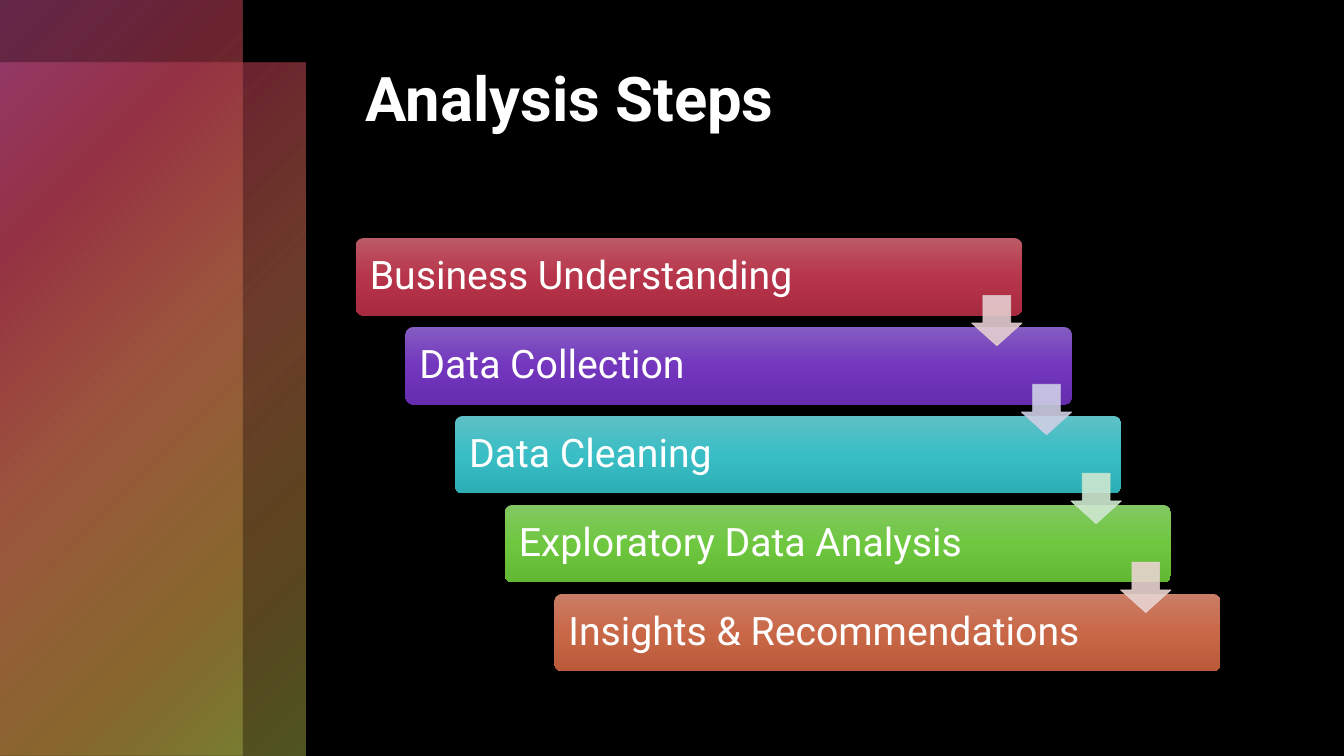
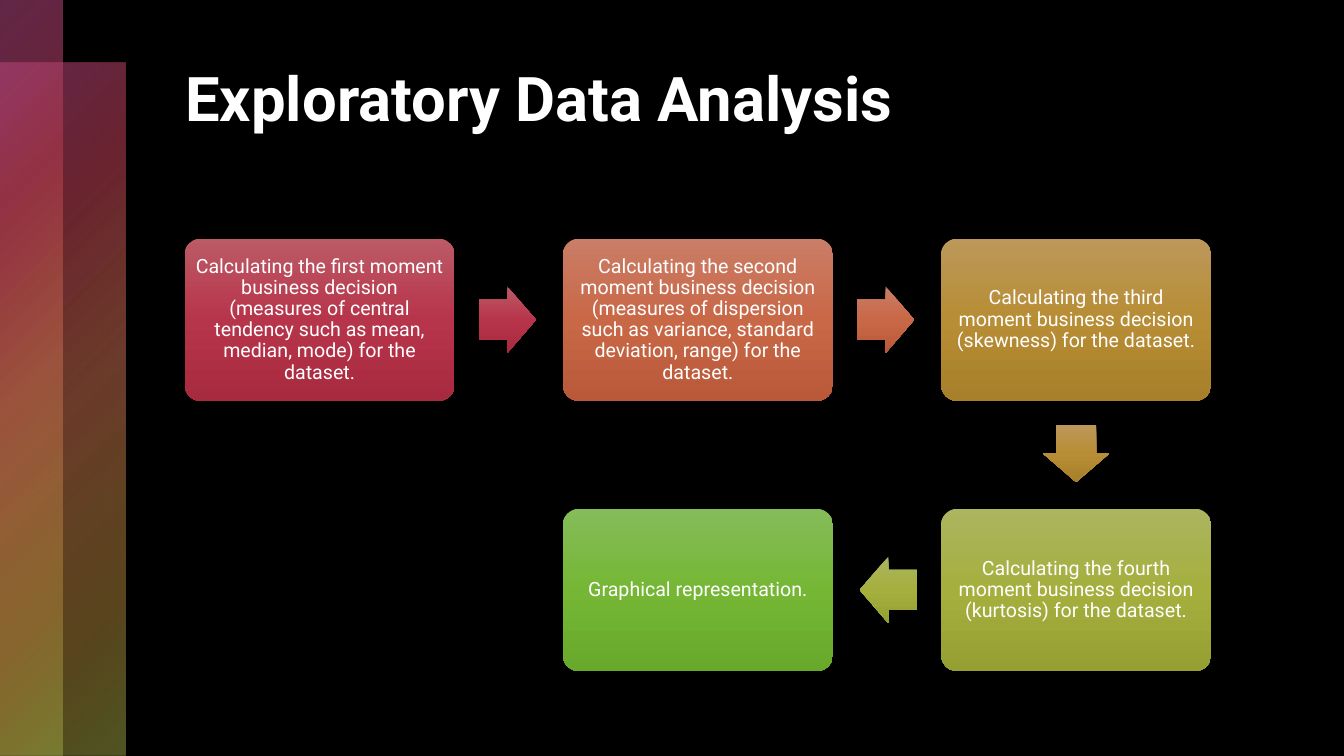
from pptx import Presentation
from pptx.dml.color import RGBColor
from pptx.enum.shapes import MSO_SHAPE
from pptx.enum.text import MSO_ANCHOR, PP_ALIGN
from pptx.oxml import parse_xml
from pptx.oxml.ns import nsdecls, qn
from pptx.util import Pt

BLACK = RGBColor(0, 0, 0)
WHITE = RGBColor(255, 255, 255)


def shades(*codes):
    return [RGBColor.from_string(code) for code in codes]


RED = shades("BC5A66", "B7354A", "A82A3E")
VIOLET = shades("845CC2", "7337BE", "652CAE")
TEAL = shades("5EC1C6", "39BEC5", "2DAEB4")
GREEN = shades("82C862", "6FC740", "61B832")
ORANGE = shades("CA7D67", "C96847", "B95939")
GOLD = shades("BC985A", "B78D35", "A87F2A")
OLIVE = shades("ACB55F", "A4AF3E", "96A032")
LEAF = shades("85BC5A", "75B735", "68A82A")
PALE = shades("E4CED0", "CFCFE6", "CFE8D1", "E9D4D0")
BAND = list(zip((0, 25, 50, 81, 99),
                shades("C34D91", "B13B4E", "C36B4D", "B18B3B", "A0AA43"),
                (50, 60, 55, 50, 50)))

STEPS = [
    ("Business Understanding", RED),
    ("Data Collection", VIOLET),
    ("Data Cleaning", TEAL),
    ("Exploratory Data Analysis", GREEN),
    ("Insights & Recommendations", ORANGE),
]
CARDS = [
    ("Calculating the first moment business decision (measures of central "
     "tendency such as mean, median, mode) for the dataset.", RED, 0, 0),
    ("Calculating the second moment business decision (measures of dispersion "
     "such as variance, standard deviation, range) for the dataset.", ORANGE, 1, 0),
    ("Calculating the third moment business decision (skewness) "
     "for the dataset.", GOLD, 2, 0),
    ("Calculating the fourth moment business decision (kurtosis) "
     "for the dataset.", OLIVE, 2, 1),
    ("Graphical representation.", LEAF, 1, 1),
]
ARROWS = {
    (1, 0): MSO_SHAPE.RIGHT_ARROW,
    (0, 1): MSO_SHAPE.DOWN_ARROW,
    (-1, 0): MSO_SHAPE.LEFT_ARROW,
}

WIDE, HIGH = 960, 540
EDGE = 44.64
TITLE = {"name": "Roboto", "size": Pt(44), "bold": True}
STEP = {"name": "Roboto", "size": Pt(28), "bold": False}
CARD = {"name": "Roboto", "size": Pt(14), "bold": False}


def write(shape, text, look, pad, align, anchor):
    frame = shape.text_frame
    form = {"word_wrap": True, "vertical_anchor": anchor}
    sides = ("margin_left", "margin_top", "margin_right", "margin_bottom")
    form.update(zip(sides, map(Pt, pad)))
    for key, val in form.items():
        setattr(frame, key, val)
    para = frame.paragraphs[0]
    para.alignment = align
    run = para.add_run()
    run.text = text
    for key, val in look.items():
        setattr(run.font, key, val)
    run.font.color.rgb = WHITE
    return para


def place(slide, kind, box, adjust=()):
    shape = slide.shapes.add_shape(kind, *map(Pt, box))
    shape.shadow.inherit = False
    shape.line.fill.background()
    for num, val in enumerate(adjust):
        shape.adjustments[num] = val
    return shape


def blend(shape, stops, path):
    marks = "".join(
        f'<a:gs pos="{pos * 1000}"><a:srgbClr val="{tone}">'
        f'<a:alpha val="{alpha * 1000}"/></a:srgbClr></a:gs>'
        for pos, tone, alpha in stops)
    shape.fill.background()
    props = shape._element.spPr
    props.replace(props.find(qn("a:noFill")), parse_xml(
        f'<a:gradFill {nsdecls("a")} rotWithShape="1">'
        f'<a:gsLst>{marks}</a:gsLst>{path}</a:gradFill>'))


def shade(shape, tones):
    blend(shape, zip((0, 50, 100), tones, (100,) * 3),
          '<a:lin ang="5400000" scaled="0"/>')


def fade(fill, tone):
    fill.solid()
    fill.fore_color.rgb = tone
    for node in fill._xPr.iter(qn("a:srgbClr")):
        if node.find(qn("a:alpha")) is None:
            node.append(parse_xml(f'<a:alpha {nsdecls("a")} val="90000"/>'))


def start(deck, title, band):
    slide = deck.slides.add_slide(deck.slide_layouts[6])
    fill = slide.background.fill
    fill.solid()
    fill.fore_color.rgb = BLACK
    for top, width in ((EDGE, band), (0, band - EDGE)):
        bar = place(slide, MSO_SHAPE.RECTANGLE, (0, top, width, HIGH - top))
        blend(bar, BAND, '<a:path path="circle">'
              '<a:fillToRect r="100000" b="100000"/></a:path>')
    left = band + 36
    box = slide.shapes.add_textbox(*map(Pt, (left, 36, 872 - left, 122.4)))
    write(box, title, TITLE, (7.2, 6.5, 7.2, 3.6), PP_ALIGN.LEFT, MSO_ANCHOR.TOP)
    return slide


def stairs(slide):
    left, top, width, high = 254.16, 170, 475.92, 55.44
    across, down, size = 35.46, 63.54, 36
    for num, (text, tones) in enumerate(STEPS):
        box = (left + num * across, top + num * down, width, high)
        shape = place(slide, MSO_SHAPE.ROUNDED_RECTANGLE, box, (0.1,))
        shade(shape, tones)
        write(shape, text, STEP, (8.4,) * 4, PP_ALIGN.LEFT,
              MSO_ANCHOR.MIDDLE).line_spacing = 0.9
    for num, tone in enumerate(PALE):
        box = (left + width - size + num * across, 211 + num * down, size, size)
        arrow = place(slide, MSO_SHAPE.DOWN_ARROW, box, (0.55, 0.45))
        fade(arrow.fill, tone)
        arrow.line.width = Pt(0.5)
        fade(arrow.line.fill, tone)


def flow(slide):
    left, top, width, high = 131.8, 170.4, 193, 116
    across, down = width * 1.4, width
    long, broad = 41, 47.6

    def centre(col, row):
        return (left + col * across + width / 2, top + row * down + high / 2)

    for num, (text, tones, col, row) in enumerate(CARDS):
        box = (left + col * across, top + row * down, width, high)
        shape = place(slide, MSO_SHAPE.ROUNDED_RECTANGLE, box, (0.1,))
        shade(shape, tones)
        write(shape, text, CARD, (4.2,) * 4, PP_ALIGN.CENTER,
              MSO_ANCHOR.MIDDLE).line_spacing = 0.9
        if num + 1 == len(CARDS):
            break
        goal = CARDS[num + 1][2:]
        way = (goal[0] - col, goal[1] - row)
        size = (long, broad) if way[0] else (broad, long)
        spot = [(a + b - side) / 2 - step for a, b, side, step
                in zip(centre(col, row), centre(*goal), size, way)]
        arrow = place(slide, ARROWS[way], (*spot, *size), (0.6, 0.5))
        shade(arrow, tones)


def main():
    deck = Presentation()
    deck.slide_width, deck.slide_height = Pt(WIDE), Pt(HIGH)
    stairs(start(deck, "Analysis Steps", 218.16))
    flow(start(deck, "Exploratory Data Analysis", 2 * EDGE))
    deck.save("out.pptx")


if __name__ == "__main__":
    main()
